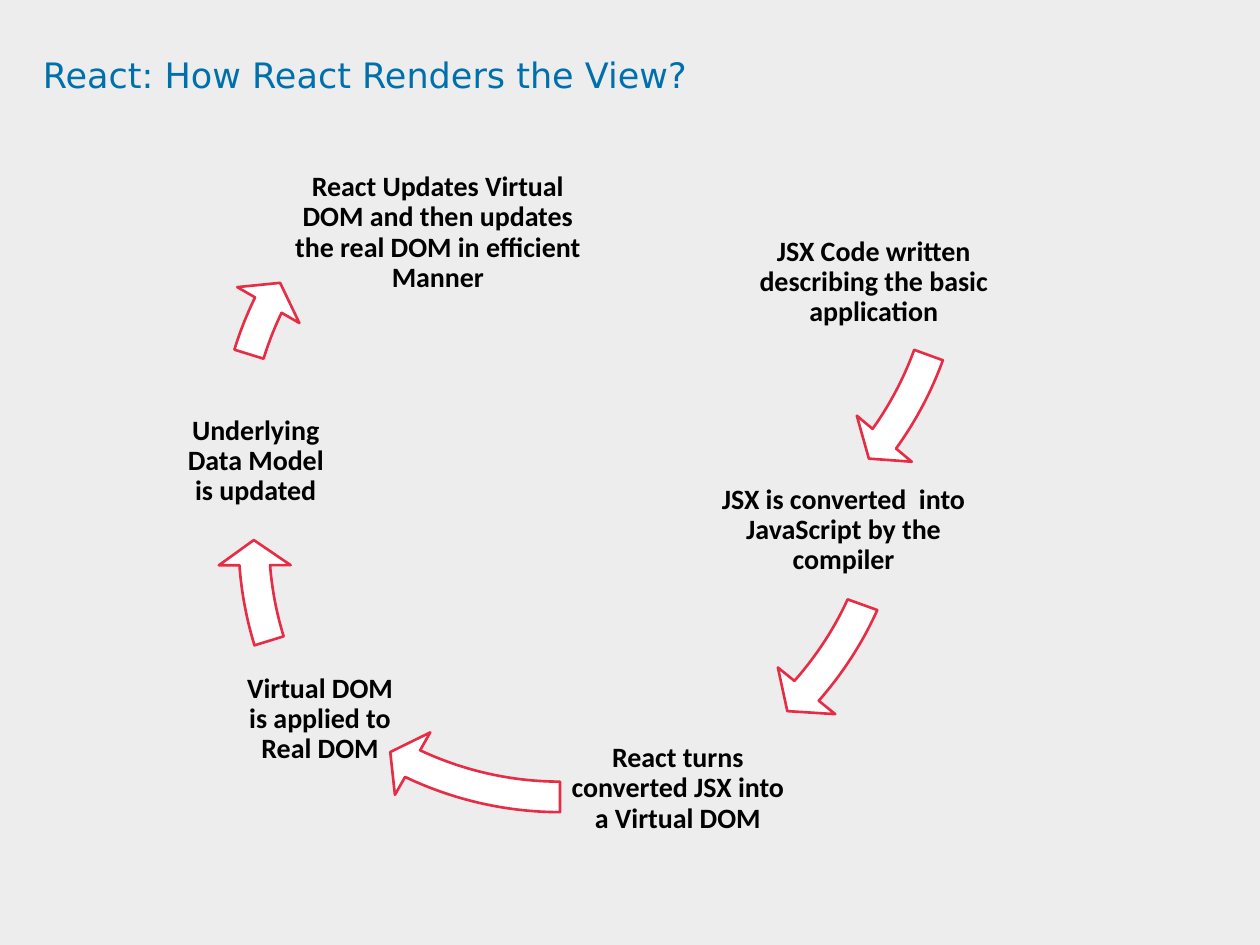
from collections import namedtuple
from dataclasses import dataclass

from pptx import Presentation, util as u
from pptx.dml.color import RGBColor
from pptx.enum import shapes, text


@dataclass(frozen=True)
class Theme:
    background: RGBColor = RGBColor(0xED, 0xED, 0xED)
    title: RGBColor = RGBColor(0x00, 0x70, 0xAD)
    body: RGBColor = RGBColor(0x00, 0x00, 0x00)
    arrow_fill: RGBColor = RGBColor(0xFF, 0xFF, 0xFF)
    arrow_line: RGBColor = RGBColor(0xE7, 0x2C, 0x45)
    title_font: str = "DejaVu Sans"
    body_font: str = "Calibri"
    title_size: int = 20
    body_size: int = 16
    line_width: float = 1.5
    line_spacing: float = 0.9


THEME = Theme()
Box = namedtuple("Box", "left top width height")

# The slide is a grid of 100 columns by 75 rows, each 0.1 inch
COLUMNS, ROWS = 100, 75
CELL = u.Inches(0.1)

STEP_HEIGHT = 12.4
STEP_INSET = 0.2
RING = 60.6  # usual diameter of an arrow's circle

# Step: text, left, top, width
STEPS = [
    ("JSX Code written describing the basic application", 59, 16.2, 20.7),
    ("JSX is converted  into JavaScript by the compiler", 55, 35.9, 23.9),
    ("React turns converted JSX into a Virtual DOM", 45.1, 56.4, 17.4),
    ("Virtual DOM is applied to Real DOM", 19.2, 50.9, 12.4),
    ("Underlying Data Model is updated", 14.1, 30.4, 12.4),
    ("React Updates Virtual DOM and then updates the real DOM in efficient Manner",
     22.3, 12.3, 24.9),
]

# Arrow: box of its circle, start and end angle in degrees, rotation
ARROWS = [
    (Box(17.6, -11.5, RING, RING), 30.49, 46.22, 349.5),
    (Box(4.4, 6.2, 69.3, 62.4), 19.82, 34.92, 0),
    (Box(14.2, 5.5, RING, RING), 90.11, 115.34, 0),
    (Box(17.3, 12.5, RING, RING), 162.91, 175.69, 0),
    (Box(15.7, 5.9, RING, RING), 197.13, 205.88, 0),
]
ARROW_THICKNESS = 0.04
ARROW_HEAD_WIDTH = 0.047
ARROW_HEAD_ANGLE = 4.17


def to_lengths(box):
    return [u.Emu(round(cells * CELL)) for cells in box]


def inside(region, box):
    """Move a box from its region's corner to the slide's corner."""
    return box._replace(left=region.left + box.left, top=region.top + box.top)


def angle_value(degrees):
    """Adjustments hold 60000ths of a degree, scaled by 100000."""
    return degrees * 60000 / 100000


def add_text(slide, box, words, inset, font_name, size, color, bold=False):
    frame = slide.shapes.add_textbox(*to_lengths(box)).text_frame
    frame.word_wrap = True
    margin = round(inset * CELL)
    frame.margin_left = frame.margin_right = margin
    frame.margin_top = frame.margin_bottom = margin
    frame.text = words
    paragraph = frame.paragraphs[0]
    paragraph.line_spacing = THEME.line_spacing
    font = paragraph.runs[0].font
    font.name, font.size, font.bold = font_name, u.Pt(size), bold
    font.color.rgb = color
    return frame


def add_title(slide, box):
    add_text(slide, box, "React: How React Renders the View?", 0,
             THEME.title_font, THEME.title_size, THEME.title)


def add_step(slide, box, words):
    frame = add_text(slide, box, words, STEP_INSET, THEME.body_font,
                     THEME.body_size, THEME.body, bold=True)
    frame.vertical_anchor = text.MSO_ANCHOR.MIDDLE
    frame.paragraphs[0].alignment = text.PP_ALIGN.CENTER


def add_arrow(slide, box, start, end, rotation):
    arrow = slide.shapes.add_shape(shapes.MSO_SHAPE.CIRCULAR_ARROW, *to_lengths(box))
    values = (ARROW_THICKNESS, angle_value(ARROW_HEAD_ANGLE), angle_value(end),
              angle_value(start), ARROW_HEAD_WIDTH)
    for index, value in enumerate(values):
        arrow.adjustments[index] = value
    arrow.rotation = rotation
    arrow.shadow.inherit = False
    arrow.fill.solid()
    arrow.fill.fore_color.rgb = THEME.arrow_fill
    arrow.line.color.rgb = THEME.arrow_line
    arrow.line.width = u.Pt(THEME.line_width)


def add_cycle(slide, region):
    # Arrows lie behind the steps
    for box, start, end, rotation in ARROWS:
        add_arrow(slide, inside(region, box), start, end, rotation)
    for words, left, top, width in STEPS:
        add_step(slide, inside(region, Box(left, top, width, STEP_HEIGHT)), words)


def main():
    presentation = Presentation()
    presentation.slide_width = COLUMNS * CELL
    presentation.slide_height = ROWS * CELL
    slide = presentation.slides.add_slide(presentation.slide_layouts[6])

    # Background
    slide.background.fill.solid()
    slide.background.fill.fore_color.rgb = THEME.background

    # Render cycle, then title
    add_cycle(slide, Box(0, 0, COLUMNS, ROWS))
    add_title(slide, Box(3.4, 4.6, 90.9, 9.4))

    presentation.save("out.pptx")


if __name__ == "__main__":
    main()
